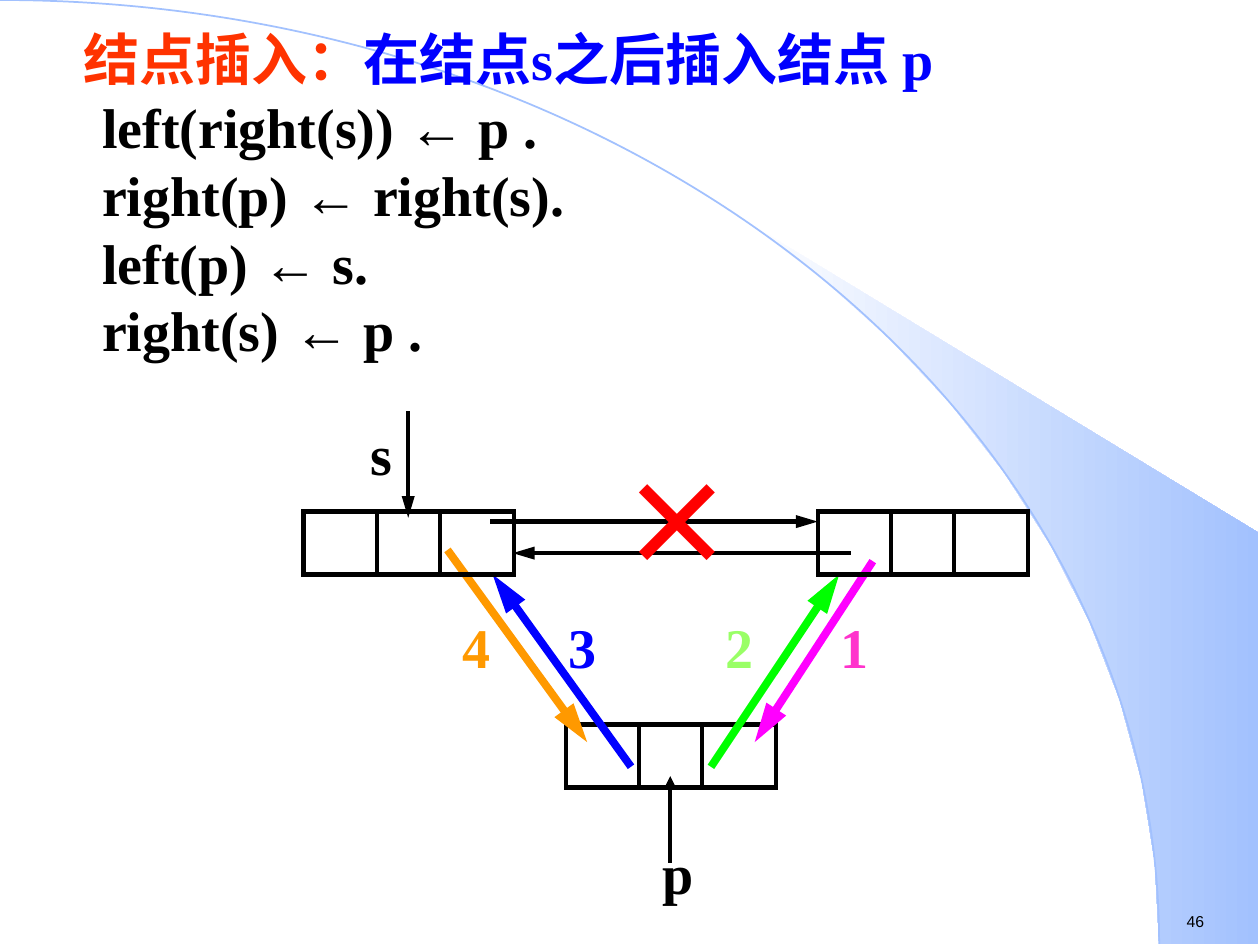
from math import cos, radians, sin

from pptx import Presentation
from pptx.dml.color import RGBColor
from pptx.enum.shapes import MSO_CONNECTOR, MSO_SHAPE
from pptx.enum.text import MSO_ANCHOR, MSO_AUTO_SIZE
from pptx.oxml.ns import qn
from pptx.util import Inches, Pt
from lxml.etree import SubElement

BLACK = RGBColor(0x00, 0x00, 0x00)
WHITE = RGBColor(0xFF, 0xFF, 0xFF)
SKY = RGBColor(0xA2, 0xC1, 0xFE)
RED = RGBColor(0xFF, 0x00, 0x00)
BRICK = RGBColor(0xFF, 0x33, 0x00)
BLUE = RGBColor(0x00, 0x00, 0xFF)
ORANGE = RGBColor(0xFF, 0x99, 0x00)
GREEN = RGBColor(0x00, 0xFF, 0x00)
LIME = RGBColor(0x99, 0xFF, 0x66)
PINK = RGBColor(0xFF, 0x00, 0xFF)
ROSE = RGBColor(0xFF, 0x33, 0xCC)

SERIF, SANS, HAN = "Times New Roman", "Arial", "Noto Sans CJK SC"
WIDE, HIGH = 9.2, 7.49  # radii of the backdrop curve


class Sheet:
    base = {"size": Pt(32), "bold": True, "name": SERIF}
    frame = {"word_wrap": True, "auto_size": MSO_AUTO_SIZE.NONE,
             "vertical_anchor": MSO_ANCHOR.TOP}

    def __init__(self, slide):
        self.slide = slide
        self.shapes = slide.shapes

    def apply(self, item, values):
        for name, value in values.items():
            setattr(item, name, value)

    def run(self, para, text, color, east=HAN, **style):
        run = para.add_run()
        run.text = text
        self.apply(run.font, {**self.base, **style})
        run.font.color.rgb = color
        SubElement(run.font._element, qn("a:ea")).set("typeface", east)

    def label(self, text, x, y, w, h, color=BLACK, **style):
        box = self.shapes.add_textbox(*map(Inches, (x, y, w, h)))
        self.apply(box.text_frame, self.frame)
        self.run(box.text_frame.paragraphs[0], text, color, **style)

    def body(self, x, y, w, h, rows):
        """Fill the body with rows of (indent, runs)."""
        box = self.slide.placeholders[1]
        self.apply(box, {"left": Inches(x), "top": Inches(y),
                         "width": Inches(w), "height": Inches(h)})
        self.apply(box.text_frame, self.frame)
        for i, (indent, runs) in enumerate(rows):
            para = box.text_frame.add_paragraph() if i else box.text_frame.paragraphs[0]
            props = para._p.get_or_add_pPr()
            props.set("marL", str(Inches(indent)))
            props.set("indent", "0")
            SubElement(props, qn("a:buNone"))
            self.apply(para, {"line_spacing": 0.8, "space_before": Pt(8 if i else 0)})
            for text, color, style in runs:
                self.run(para, text, color, **style)
        self.shapes._spTree.append(box._element)  # in front of the backdrop

    def outline(self, points, close):
        spots = [(Inches(x), Inches(y)) for x, y in points]
        path = self.shapes.build_freeform(*spots[0])
        path.add_line_segments(spots[1:], close=close)
        shape = path.convert_to_shape()
        shape.shadow.inherit = False
        return shape

    def wing(self):
        angles = [radians(a) for a in range(40, 91, 5)]
        inner = [(WIDE * sin(a), HIGH * (1 - cos(a))) for a in angles]
        wing = self.outline(inner + [(9.99, HIGH), (9.99, 4.23)], True)
        wing.line.fill.background()
        wing.fill.gradient()
        wing.fill.gradient_angle = 0
        for stop, color, place in zip(wing.fill.gradient_stops, (WHITE, SKY), (0, 1)):
            stop.color.rgb = color
            stop.position = place

    def arc(self):
        """Quarter ellipse: one straight segment turned into a Bezier curve."""
        arc = self.outline([(0, 0), (WIDE, HIGH)], False)
        arc.fill.background()
        arc.line.color.rgb = SKY
        arc.line.width = Pt(1)
        part = next(arc._element.iter(qn("a:lnTo")))
        bend = SubElement(part.getparent(), qn("a:cubicBezTo"))
        for x, y in ((5.08, 0), (WIDE, 3.35), (WIDE, HIGH)):
            point = SubElement(bend, qn("a:pt"))
            point.set("x", str(Inches(x)))
            point.set("y", str(Inches(y)))
        part.getparent().remove(part)

    def line(self, x1, y1, x2, y2, color=BLACK, width=2.5, head="lg"):
        """Straight line; head is the length of its arrowhead, if any."""
        link = self.shapes.add_connector(
            MSO_CONNECTOR.STRAIGHT, *map(Inches, (x1, y1, x2, y2)))
        link.line.color.rgb = color
        link.line.width = Pt(width)
        stroke = link.line._get_or_add_ln()
        stroke.set("cap", "sq")
        if head:
            tail = SubElement(stroke, qn("a:tailEnd"))
            for name, value in {"type": "triangle", "w": "med", "len": head}.items():
                tail.set(name, value)
        SubElement(link._element.spPr, qn("a:effectLst"))

    def node(self, x, y, w=1.67, h=0.5):
        box = self.shapes.add_shape(MSO_SHAPE.RECTANGLE, *map(Inches, (x, y, w, h)))
        box.shadow.inherit = False
        box.fill.background()
        box.line.color.rgb = BLACK
        box.line.width = Pt(2.5)
        SubElement(box.line._get_or_add_ln(), qn("a:miter")).set("lim", "800000")
        for step in (0.58, 1.08):
            self.line(x + step, y, x + step, y + h, head=None)


def main():
    deck = Presentation()
    deck.slide_width, deck.slide_height = Inches(10), Inches(7.5)
    slide = deck.slides.add_slide(deck.slide_layouts[1])
    title = slide.shapes.title._element
    title.getparent().remove(title)
    sheet = Sheet(slide)
    sheet.wing()
    sheet.arc()
    sheet.label("46", 9.32, 7.19, 0.77, 0.25, size=Pt(9), bold=False, name=SANS)

    steps = [("left(right(s))", "p ."), ("right(p)", "right(s)."),
             ("left(p)", "s."), ("right(s)", "p .")]
    rows = [(0.4, [("结点插入：", BRICK, {}), ("在结点s之后插入结点 p", BLUE, {})])]
    for goal, value in steps:
        rows.append((0.55, [(goal + " ", BLACK, {}),
                            ("←", BLACK, {"name": SANS, "east": SANS}),
                            (" " + value, BLACK, {})]))
    sheet.body(0.16, 0.25, 9.49, 2.87, rows)

    sheet.node(4.49, 5.75)
    sheet.line(5.32, 6.83, 5.32, 6.16, head="med")
    sheet.label("p", 5.16, 6.61, 1.5, 0.64)

    links = [("4", 3.57, 0.67, ORANGE, ORANGE, (3.57, 4.39, 4.66, 5.89)),
             ("3", 4.41, 0.75, BLUE, BLUE, (4.99, 6.06, 3.91, 4.56)),
             ("2", 5.66, 0.58, LIME, GREEN, (5.66, 6.06, 6.66, 4.56)),
             ("1", 6.57, 1, ROSE, PINK, (6.91, 4.48, 5.99, 5.89))]
    for text, x, w, ink, color, ends in links:
        sheet.line(*ends, color=color, width=4.5)
        sheet.label(text, x, 4.81, w, 0.64, ink)

    for x in (2.41, 6.49):
        sheet.node(x, 4.06)
    sheet.line(3.91, 4.14, 6.49, 4.14)
    sheet.line(6.74, 4.39, 4.07, 4.39)
    sheet.label("s", 2.84, 3.28, 0.49, 0.64)
    sheet.line(3.24, 3.28, 3.24, 4.11)
    sheet.label("×", 4.82, 3.53, 0.92, 1.2, RED, size=Pt(66), name=HAN)
    deck.save("out.pptx")


if __name__ == "__main__":
    main()
